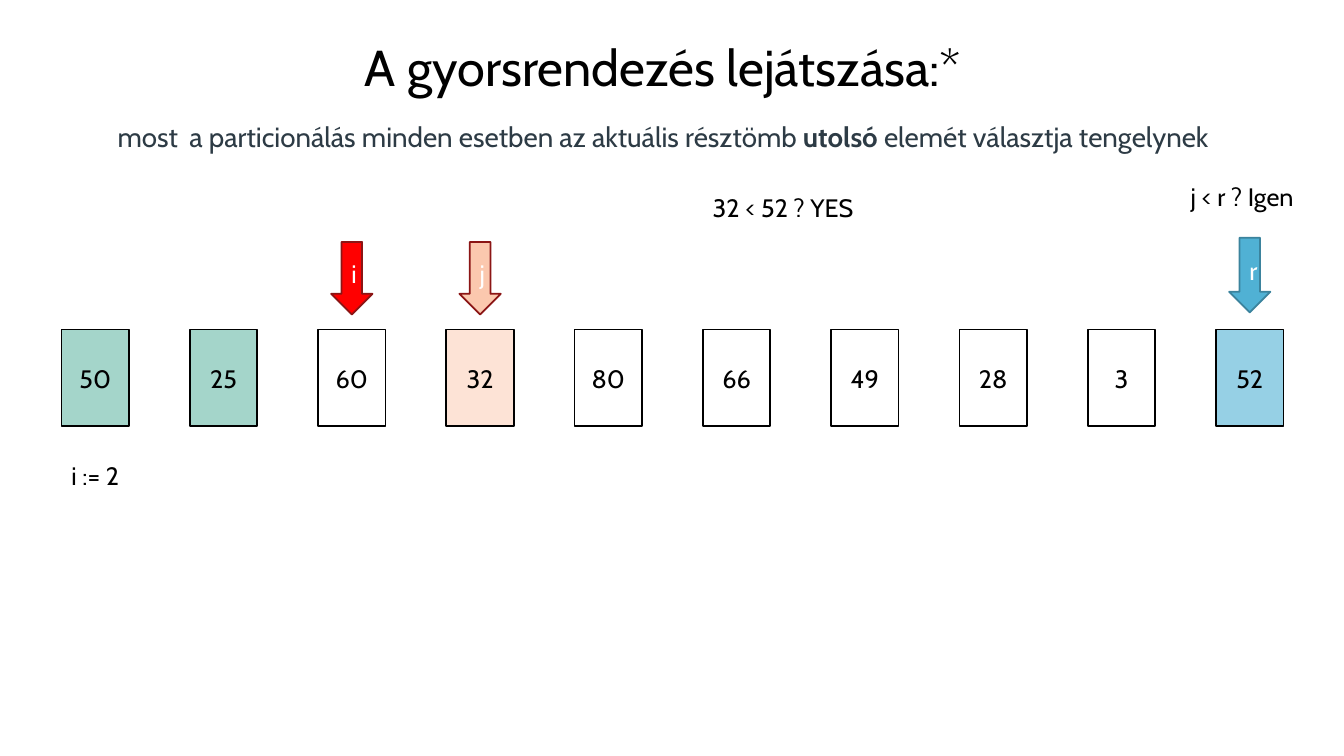
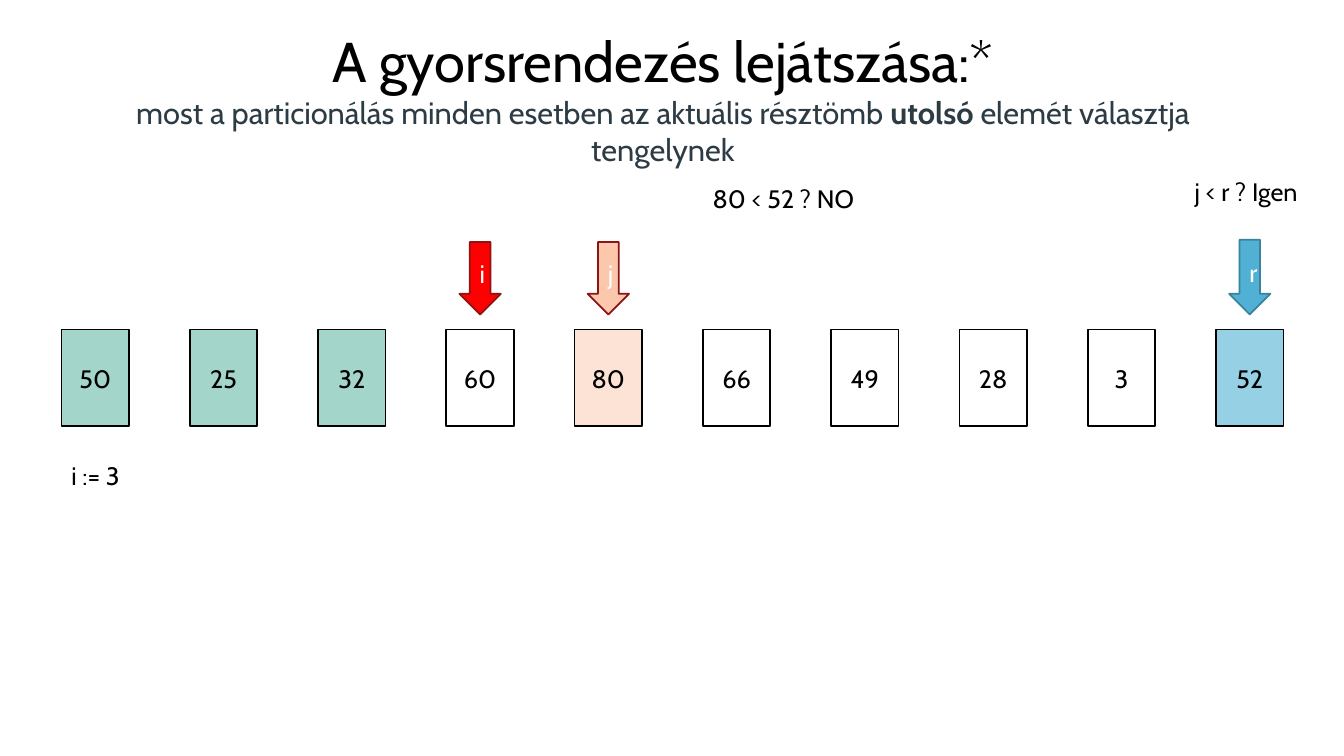
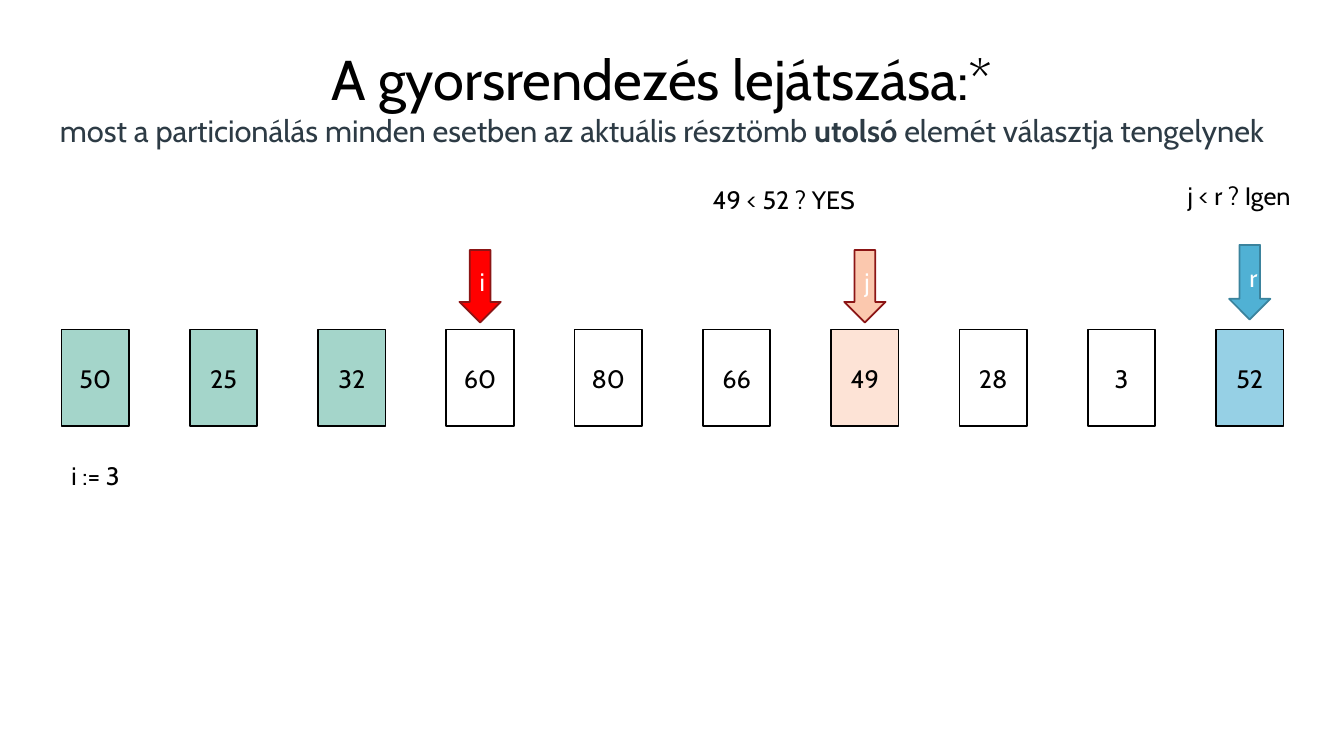
from pptx import Presentation
from pptx.dml.color import RGBColor
from pptx.enum.shapes import MSO_SHAPE
from pptx.enum.text import MSO_ANCHOR, MSO_AUTO_SIZE, PP_ALIGN
from pptx.util import Inches, Pt

# Content: one dict per step of the partitioning; i, j are cell indexes
TITLE = "A gyorsrendezés lejátszása:*"
PIVOT_RULE = [("a particionálás minden esetben az aktuális résztömb ", False),
              ("utolsó", True),
              (" elemét választja tengelynek", False)]
LOOP_TEST = "j < r ? Igen"

STEPS = [
    dict(values=[50, 25, 60, 32, 80, 66, 49, 28, 3, 52], i=2, j=3,
         compare="32 < 52 ? YES", compare_top=1.86, loop_at=(11.71, 1.75),
         ij_top=2.4, r_top=2.36, title_box=(0.63, 11.89),
         title_size=36, rule_size=19.8, gap_size=36),
    dict(values=[50, 25, 32, 60, 80, 66, 49, 28, 3, 52], i=3, j=4,
         compare="80 < 52 ? NO", compare_top=1.77, loop_at=(11.75, 1.7),
         ij_top=2.4, r_top=2.38, title_box=(0.63, 11.89),
         title_size=40, rule_size=22, gap_size=22),
    dict(values=[50, 25, 32, 60, 80, 66, 49, 28, 3, 52], i=3, j=6,
         compare="49 < 52 ? YES", compare_top=1.78, loop_at=(11.68, 1.74),
         ij_top=2.48, r_top=2.43, title_box=(0.22, 12.69),
         title_size=40, rule_size=22, gap_size=22),
]

# Shared style
FONT = "Cabin"
BLACK, WHITE, SLATE = "000000", "FFFFFF", "2D3B45"
SMALLER, CURRENT, PIVOT = "A4D5CA", "FDE3D6", "96D0E5"
RED, PEACH, BLUE = "FF0000", "FBC8AE", "50B1D4"
DARK_RED, DARK_BLUE = "8B1515", "3B839D"

# Row of cells
LEFT, RIGHT, CELL_TOP = 0.61, 12.06, 3.27
CELL_W, CELL_H, ARROW_W = 0.67, 0.96, 0.41


def rgb(value):
    return RGBColor.from_string(value)


def add_run(p, text, size=18, color=BLACK, bold=False):
    r = p.add_run()
    r.text = text
    r.font.name, r.font.size, r.font.bold = FONT, Pt(size), bold
    r.font.color.rgb = rgb(color)


def add_box(s, kind, x, y, w, h, text, fill, line, color):
    sp = s.shapes.add_shape(kind, Inches(x), Inches(y), Inches(w), Inches(h))
    sp.shadow.inherit = False
    sp.fill.solid()
    sp.fill.fore_color.rgb = rgb(fill)
    sp.line.color.rgb = rgb(line)
    sp.line.width = Pt(1.25)
    tf = sp.text_frame
    tf.vertical_anchor = MSO_ANCHOR.MIDDLE
    p = tf.paragraphs[0]
    p.alignment = PP_ALIGN.CENTER
    add_run(p, text, color=color)


def add_text(s, x, y, w, h):
    tf = s.shapes.add_textbox(Inches(x), Inches(y), Inches(w), Inches(h)).text_frame
    tf.word_wrap = True
    return tf


def add_label(s, text, x, y, w):
    tf = add_text(s, x, y, w, 0.4)
    tf.auto_size = MSO_AUTO_SIZE.SHAPE_TO_FIT_TEXT
    add_run(tf.paragraphs[0], text)


def add_title(s, step):
    left, width = step["title_box"]
    tf = add_text(s, left, 0.18, width, 1.56)
    tf.vertical_anchor = MSO_ANCHOR.MIDDLE
    p = tf.paragraphs[0]
    p.alignment = PP_ALIGN.CENTER
    add_run(p, TITLE, step["title_size"])
    p.add_line_break()
    add_run(p, "most", step["rule_size"], SLATE)
    add_run(p, " ", step["gap_size"])
    for text, bold in PIVOT_RULE:
        add_run(p, text, step["rule_size"], SLATE, bold)


def cell_fill(k, step):
    if k < step["i"]:
        return SMALLER
    if k == step["j"]:
        return CURRENT
    return PIVOT if k == len(step["values"]) - 1 else WHITE


def add_step(prs, step):
    s = prs.slides.add_slide(prs.slide_layouts[6])
    values = step["values"]
    last = len(values) - 1
    pitch = (RIGHT - LEFT) / last

    # Array cells
    for k, value in enumerate(values):
        add_box(s, MSO_SHAPE.RECTANGLE, LEFT + k * pitch, CELL_TOP, CELL_W, CELL_H,
                str(value), cell_fill(k, step), BLACK, BLACK)

    # Index arrows, centred over their cells
    arrows = [("r", last, step["r_top"], 0.74, BLUE, DARK_BLUE),
              ("i", step["i"], step["ij_top"], 0.72, RED, DARK_RED),
              ("j", step["j"], step["ij_top"], 0.72, PEACH, DARK_RED)]
    for name, k, top, height, fill, line in arrows:
        x = LEFT + k * pitch + (CELL_W - ARROW_W) / 2
        add_box(s, MSO_SHAPE.DOWN_ARROW, x, top, ARROW_W, height,
                name, fill, line, WHITE)

    # Labels and title
    add_label(s, f"i := {step['i']}", LEFT, 4.52, 1.61)
    add_label(s, step["compare"], 6.97, step["compare_top"], 2.26)
    add_label(s, LOOP_TEST, *step["loop_at"], 1.44)
    add_title(s, step)


def main():
    prs = Presentation()
    prs.slide_width, prs.slide_height = Inches(13.33), Inches(7.5)
    for step in STEPS:
        add_step(prs, step)
    prs.save("out.pptx")


if __name__ == "__main__":
    main()
